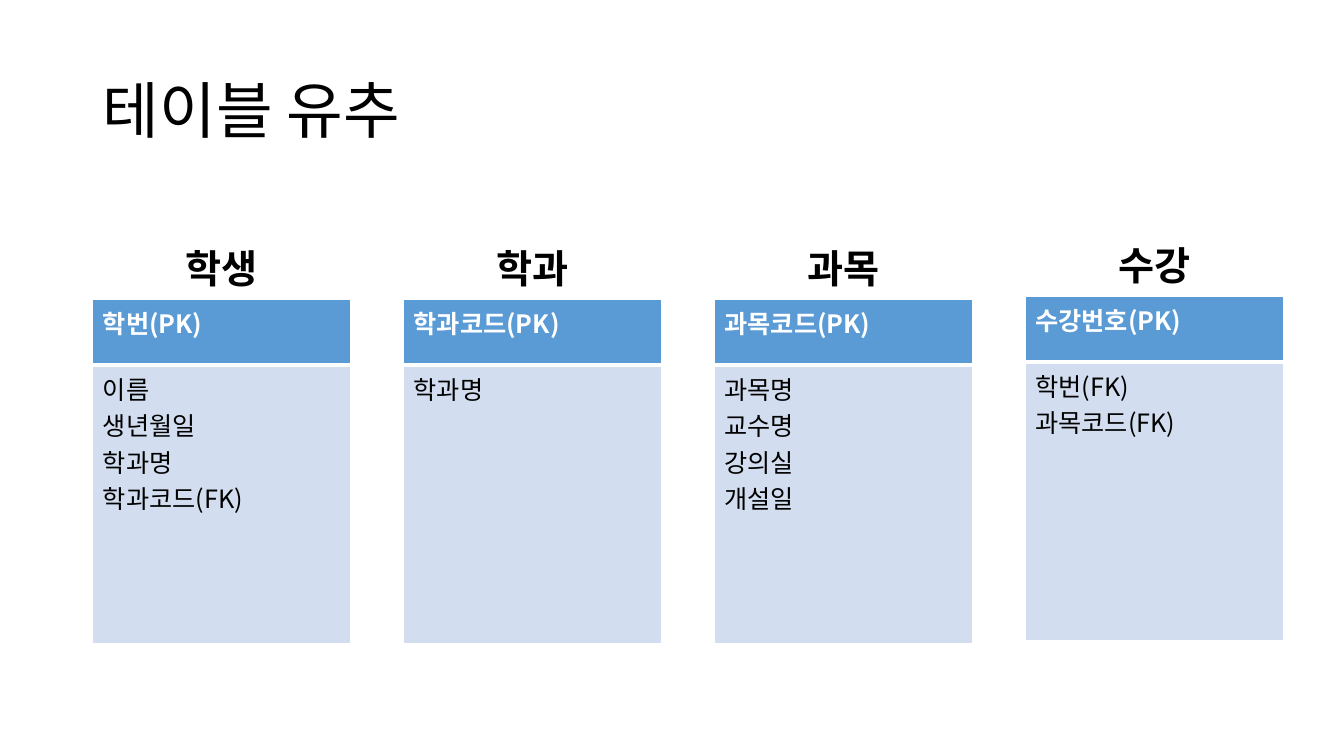
from dataclasses import dataclass

from lxml.etree import SubElement
from pptx import Presentation
from pptx.dml.color import RGBColor
from pptx.enum.text import MSO_ANCHOR, MSO_AUTO_SIZE, PP_ALIGN
from pptx.oxml import parse_xml
from pptx.oxml.ns import nsdecls, qn
from pptx.util import Inches, Pt

# Content
TITLE = "테이블 유추"
ENTITIES = [
    # name, key, other columns, top of table in inches
    ("학생", "학번(PK)", ["이름", "생년월일", "학과명", "학과코드(FK)"], 2.97),
    ("학과", "학과코드(PK)", ["학과명"], 2.97),
    ("과목", "과목코드(PK)", ["과목명", "교수명", "강의실", "개설일"], 2.97),
    ("수강", "수강번호(PK)", ["학번(FK)", "과목코드(FK)"], 2.94),
]


@dataclass(frozen=True)
class Theme:
    font: str = "Noto Sans CJK KR"
    black: str = "000000"
    white: str = "FFFFFF"
    key_fill: str = "5B9BD5"
    body_fill: str = "D2DEEF"
    title_size: int = 44
    name_size: int = 28
    cell_size: int = 18
    thin_line: int = 1
    thick_line: int = 3


THEME = Theme()

# Layout, in inches
LEFT, PITCH, TABLE_WIDTH = 0.92, 3.083, 2.56
KEY_HEIGHT, BODY_HEIGHT = 0.65, 2.77
NAME_WIDTH, NAME_HEIGHT, NAME_RISE = 1.65, 0.57, 0.6


def style_text(frame, size, color, bold=False, align=PP_ALIGN.LEFT):
    for para in frame.paragraphs:
        para.alignment = align
        for span in para.runs:
            span.font.size = Pt(size)
            span.font.bold = bold
            span.font.color.rgb = RGBColor.from_string(color)
            span.font.name = THEME.font
            SubElement(span.font._element, qn("a:ea"), typeface=THEME.font)


def set_borders(cell, **widths):
    """Draw white borders; they come before the fill in the cell properties."""
    properties = cell._tc.get_or_add_tcPr()
    for index, side in enumerate("LRTB"):
        width = Pt(widths.get(side, THEME.thin_line))
        properties.insert(index, parse_xml(
            f'<a:ln{side} {nsdecls("a")} w="{width}"><a:solidFill>'
            f'<a:srgbClr val="{THEME.white}"/></a:solidFill></a:ln{side}>'))


def fill_cell(cell, text, fill, color, bold, **widths):
    cell.text_frame.text = text
    style_text(cell.text_frame, THEME.cell_size, color, bold)
    cell.fill.solid()
    cell.fill.fore_color.rgb = RGBColor.from_string(fill)
    set_borders(cell, **widths)


def add_entity(page, left, top, name, key, columns):
    # Table with the key above the other columns
    table = page.shapes.add_table(
        2, 1, Inches(left), Inches(top),
        Inches(TABLE_WIDTH), Inches(KEY_HEIGHT + BODY_HEIGHT)).table
    table.horz_banding = False
    table.rows[0].height = Inches(KEY_HEIGHT)
    table.rows[1].height = Inches(BODY_HEIGHT)
    fill_cell(table.cell(0, 0), key, THEME.key_fill, THEME.white, True,
              B=THEME.thick_line)
    fill_cell(table.cell(1, 0), "\n".join(columns), THEME.body_fill,
              THEME.black, False, T=THEME.thick_line)

    # Name centred over the table
    name_left = left + (TABLE_WIDTH - NAME_WIDTH) / 2
    box = page.shapes.add_textbox(
        Inches(name_left), Inches(top - NAME_RISE),
        Inches(NAME_WIDTH), Inches(NAME_HEIGHT))
    frame = box.text_frame
    frame.word_wrap = True
    frame.auto_size = MSO_AUTO_SIZE.SHAPE_TO_FIT_TEXT
    frame.text = name
    style_text(frame, THEME.name_size, THEME.black, True, PP_ALIGN.CENTER)


def main():
    deck = Presentation()
    deck.slide_width, deck.slide_height = Inches(13.33), Inches(7.5)
    page = deck.slides.add_slide(deck.slide_layouts.get_by_name("Title Only"))

    # Title
    title = page.shapes.title
    title.left, title.top = Inches(LEFT), Inches(0.4)
    title.width, title.height = Inches(11.5), Inches(1.45)
    title.text_frame.text = TITLE
    title.text_frame.vertical_anchor = MSO_ANCHOR.MIDDLE
    title.text_frame.paragraphs[0].line_spacing = 0.9
    style_text(title.text_frame, THEME.title_size, THEME.black)

    # Entity tables at an equal pitch
    for index, (name, key, columns, top) in enumerate(ENTITIES):
        add_entity(page, LEFT + index * PITCH, top, name, key, columns)

    deck.save("out.pptx")


if __name__ == "__main__":
    main()
